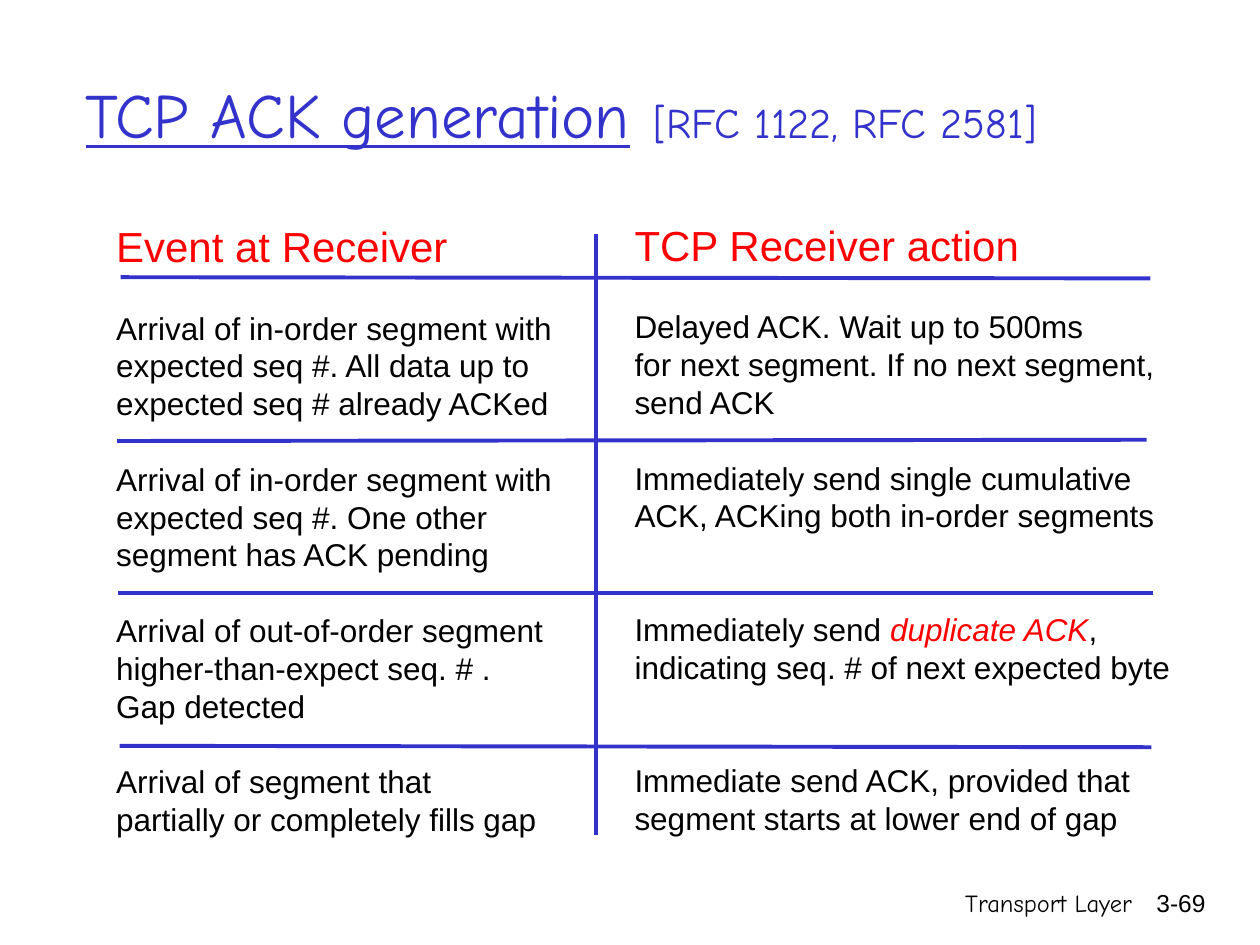
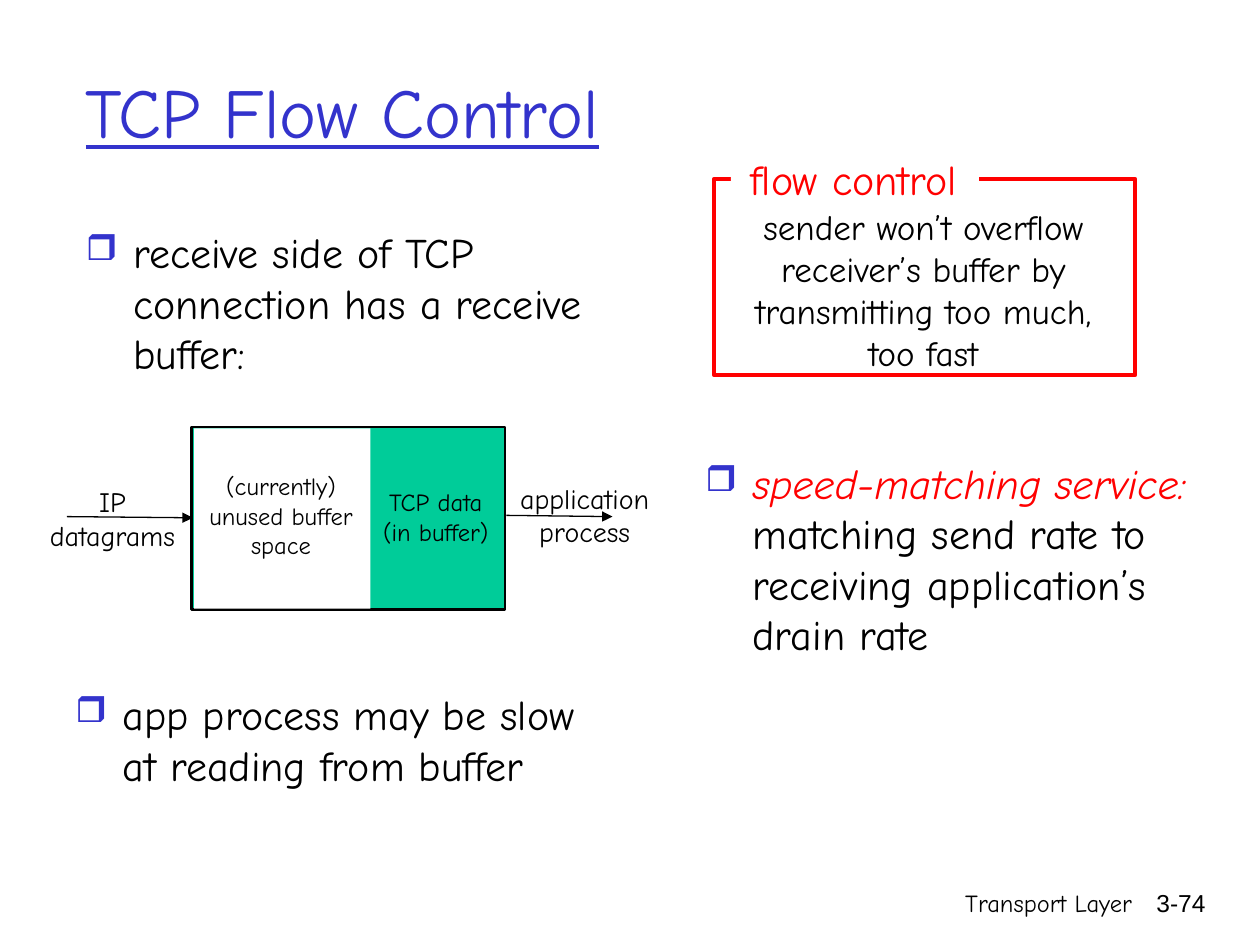
import pptx
import pptx.dml.color
import pptx.enum.shapes
import pptx.enum.text
import pptx.oxml
import pptx.oxml.ns
import pptx.util

Pt = pptx.util.Pt
Align = pptx.enum.text.PP_ALIGN
Anchor = pptx.enum.text.MSO_ANCHOR
COLORS = {"blue": "3333CC", "red": "FF0000", "black": "000000",
          "white": "FFFFFF", "green": "00CC99"}
COMIC, ARIAL = "Comic Neue", "Arial"
LEAD = 1.2  # line pitch over font size


def hue(name):
    return pptx.dml.color.RGBColor.from_string(COLORS[name])


def add_xml(parent, tag, **attrs):
    node = pptx.oxml.parse_xml(f"<{tag} {pptx.oxml.ns.nsdecls('a')}/>")
    for key, value in attrs.items():
        node.set(key, value)
    parent.append(node)


class Deck:
    def __init__(self):
        self.show = pptx.Presentation()
        self.show.slide_width, self.show.slide_height = Pt(720), Pt(540)

    def start(self, number):
        """Open a slide with its footer."""
        self.slide = self.show.slides.add_slide(self.show.slide_layouts[6])
        self.text(426, 504, 228, 36, ["Transport Layer"], 14, align=Align.RIGHT)
        self.text(642.7, 504, 53.3, 36, [number], 14, font=ARIAL, align=Align.RIGHT)

    def style(self, font, size, color, face):
        font.size, font.color.rgb, font.name = Pt(size), hue(color), face

    def box(self, x, y, w, h, wrap=True):
        frame = self.slide.shapes.add_textbox(Pt(x), Pt(y), Pt(w), Pt(h)).text_frame
        frame.word_wrap = wrap
        return frame

    def text(self, x, y, w, h, lines, size, color="black", font=COMIC,
             align=Align.CENTER, wrap=True):
        frame = self.box(x, y, w, h, wrap)
        for i, line in enumerate(lines):
            para = frame.paragraphs[0] if i == 0 else frame.add_paragraph()
            para.add_run().text = line
            para.alignment = align
            self.style(para.font, size, color, font)

    def title(self, head, size, note=None):
        frame = self.box(42, 18, 612, 90)
        frame.vertical_anchor = Anchor.MIDDLE
        para = frame.paragraphs[0]
        self.style(para.font, size, "blue", COMIC)
        run = para.add_run()
        run.text, run.font.underline = head, True
        if note:
            for words, points in ((" ", 40), (note, 24)):
                run = para.add_run()
                run.text, run.font.size = words, Pt(points)

    def bullet(self, x, y, h, words, lead=None):
        """Add a square-bulleted paragraph, with an optional red italic lead."""
        para = self.box(x, y, 300, h).paragraphs[0]
        props = para._p.get_or_add_pPr()
        props.set("marL", str(Pt(27)))
        props.set("indent", str(-Pt(27)))
        add_xml(props, "a:buClr")
        add_xml(props[-1], "a:srgbClr", val=COLORS["blue"])
        add_xml(props, "a:buSzPct", val="85000")
        add_xml(props, "a:buChar", char="❒")
        self.style(para.font, 24, "black", COMIC)
        if lead:
            self.accent(para, lead)
        para.add_run().text = words

    def accent(self, para, words):
        run = para.add_run()
        run.text, run.font.italic, run.font.color.rgb = words, True, hue("red")

    def column(self, x, y, w, head, cells):
        """Stack a heading and cells so that each cell takes four lines."""
        frame = self.box(x, y, w, 403, wrap=False)
        para = frame.paragraphs[0]
        para.add_run().text = head
        para.line_spacing = Pt(24 * LEAD)
        self.style(para.font, 24, "red", ARIAL)
        pitch, blank = 18 * LEAD, 1
        for cell in cells:
            for i, line in enumerate(cell):
                para = frame.add_paragraph()
                para.line_spacing = Pt(pitch)
                if i == 0:
                    para.space_before = Pt(pitch * blank)
                self.style(para.font, 18, "black", ARIAL)
                for j, part in enumerate(line.split("*")):
                    if j % 2:
                        self.accent(para, part)
                    else:
                        para.add_run().text = part
            blank = 4 - len(cell)

    def rect(self, x, y, w, h, fill, edge=None, weight=0):
        shape = self.slide.shapes.add_shape(
            pptx.enum.shapes.MSO_SHAPE.RECTANGLE, Pt(x), Pt(y), Pt(w), Pt(h))
        shape.shadow.inherit = False
        shape.fill.solid()
        shape.fill.fore_color.rgb = hue(fill)
        if edge:
            shape.line.color.rgb, shape.line.width = hue(edge), Pt(weight)
        else:
            shape.line.fill.background()

    def line(self, x1, y1, x2, y2, color, weight, arrow=False):
        link = self.slide.shapes.add_connector(
            pptx.enum.shapes.MSO_CONNECTOR.STRAIGHT, Pt(x1), Pt(y1), Pt(x2), Pt(y2))
        link.line.color.rgb, link.line.width = hue(color), Pt(weight)
        if arrow:
            add_xml(link.line._get_or_add_ln(), "a:tailEnd", type="triangle")
        add_xml(link._element.spPr, "a:effectLst")


def acks(deck):
    deck.start("3-69")
    deck.title("TCP ACK generation", 36, "[RFC 1122, RFC 2581]")
    deck.column(59.3, 122.4, 263.5, "Event at Receiver", [
        ["Arrival of in-order segment with", "expected seq #. All data up to",
         "expected seq # already ACKed"],
        ["Arrival of in-order segment with", "expected seq #. One other",
         "segment has ACK pending"],
        ["Arrival of out-of-order segment", "higher-than-expect seq. # .",
         "Gap detected"],
        ["Arrival of segment that", "partially or completely fills gap"]])
    deck.column(355.5, 121.7, 320.4, "TCP Receiver action", [
        ["Delayed ACK. Wait up to 500ms", "for next segment. If no next segment,",
         "send ACK"],
        ["Immediately send single cumulative", "ACK, ACKing both in-order segments"],
        ["Immediately send *duplicate ACK*,", "indicating seq. # of next expected byte"],
        ["Immediate send ACK, provided that", "segment starts at lower end of gap"]])
    for x1, y1, x2, y2 in ((69, 158.4, 657.4, 159.1), (67, 252, 655.2, 251.3),
                           (67.7, 339.1, 658.8, 339.1), (68.4, 426.2, 658, 427)):
        deck.line(x1, y1, x2, y2, "blue", 2.25)
    deck.line(340.6, 133.9, 340.6, 477.4, "blue", 2.25)


def flow(deck):
    deck.start("3-74")
    deck.title("TCP Flow Control", 40)
    deck.bullet(42, 126, 102, "receive side of TCP connection has a receive buffer:")
    deck.bullet(396, 257.8, 228, " matching send rate to receiving application’s drain rate",
                "speed-matching service:")
    deck.bullet(36, 390.2, 102, "app process may be slow at reading from buffer")

    deck.rect(408.2, 102.2, 240.5, 112.3, "white", "red", 2.25)
    deck.text(414.7, 113.8, 226, 103.7, ["sender won’t overflow", "receiver’s buffer by",
                                         "transmitting too much,", "too fast"], 20)
    deck.rect(417.6, 87.1, 141.8, 28, "white")
    deck.text(421.2, 84.2, 133.2, 36, ["flow control"], 24, "red", wrap=False)

    deck.rect(109.4, 244, 179.3, 104.4, "green", "black", 1.5)
    deck.rect(110.9, 244.8, 100.8, 103, "white")
    for x, y, w, h, size, lines in (
            (16.2, 273.6, 96, 46, 16, ["IP", "datagrams"]),
            (206.5, 275, 85, 41, 14, ["TCP data", "(in buffer)"]),
            (107.6, 265.7, 106, 57.6, 14, ["(currently)", "unused buffer", "space"]),
            (284.1, 271.4, 100, 46, 16, ["application", "process"])):
        deck.text(x, y, w, h, lines, size, wrap=False)
    deck.line(38.2, 295.2, 110.2, 295.9, "black", 0.75, arrow=True)
    deck.line(289.4, 294.5, 350, 295.2, "black", 0.75, arrow=True)


def main():
    deck = Deck()
    acks(deck)
    flow(deck)
    deck.show.save("out.pptx")


if __name__ == "__main__":
    main()
